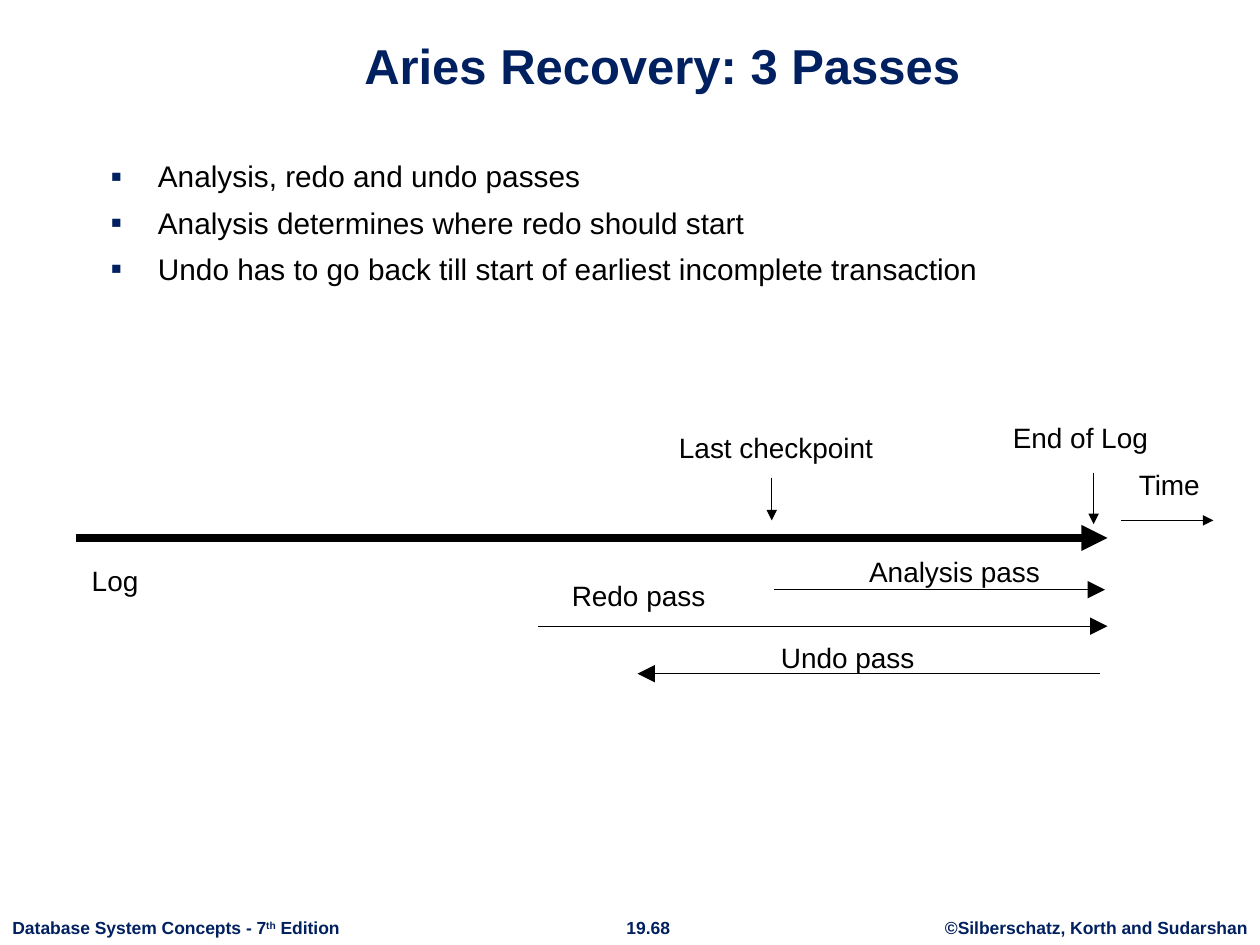
"""Build the slide on the three passes of Aries recovery."""
from lxml.etree import SubElement
from pptx import Presentation
from pptx.dml.color import RGBColor
from pptx.enum.shapes import MSO_CONNECTOR
from pptx.enum.text import MSO_ANCHOR, MSO_AUTO_SIZE, PP_ALIGN
from pptx.oxml.ns import qn
from pptx.util import Pt

NAVY = RGBColor(0x00, 0x20, 0x60)
BLACK = RGBColor(0x00, 0x00, 0x00)
FONT = "Arial"

TITLE = "Aries Recovery: 3 Passes"
BULLETS = [
    "Analysis, redo and undo passes",
    "Analysis determines where redo should start",
    "Undo has to go back till start of earliest incomplete transaction",
]
FOOTER_TOP, FOOTER_HEIGHT = 520.56, 19.44
FOOTERS = [
    (0, 202.32, PP_ALIGN.LEFT, [("Database System Concepts - 7", False), ("th", True), (" Edition", False)]),
    (349.92, 41.04, PP_ALIGN.CENTER, [("19.68", False)]),
    (532.8, 187.2, PP_ALIGN.CENTER, [("©Silberschatz, Korth and Sudarshan", False)]),
]
LABEL_HEIGHT = 26.64
LABELS = [
    ("Last checkpoint", 380.88, 242.64, 126),
    ("Log", 45.36, 318.24, 42),
    ("Time", 643.68, 263.52, 50),
    ("End of Log", 571.68, 236.88, 93),
    ("Analysis pass", 489.6, 313.2, 114),
    ("Redo pass", 319.68, 326.88, 92),
    ("Undo pass", 439.2, 362.5, 92),
]
THIN, THICK = 0.75, 5
ARROWS = [
    ((43.2, 307.44), (632.88, 307.44), THICK, "med"),
    ((640.8, 297.36), (693.36, 297.36), THIN, "med"),
    ((441, 272.88), (441, 297.36), THIN, "med"),
    ((624.96, 270), (624.96, 299.52), THIN, "med"),
    ((442.08, 336.96), (631.44, 336.96), THIN, "lg"),
    ((307.44, 357.84), (632.88, 357.84), THIN, "lg"),
    ((628.56, 385), (364.32, 385), THIN, "lg"),
]


def style(paragraph, size, color=BLACK, bold=False, alignment=PP_ALIGN.LEFT):
    font = paragraph.font
    font.name, font.size, font.bold = FONT, Pt(size), bold
    font.color.rgb = color
    paragraph.alignment = alignment


def add_text_frame(slide, left, top, width, height, wrap=False):
    box = slide.shapes.add_textbox(Pt(left), Pt(top), Pt(width), Pt(height))
    frame = box.text_frame
    frame.word_wrap = wrap
    frame.auto_size = MSO_AUTO_SIZE.NONE if wrap else MSO_AUTO_SIZE.SHAPE_TO_FIT_TEXT
    return frame


def add_bullet(paragraph):
    properties = paragraph._p.get_or_add_pPr()
    properties.set("marL", str(Pt(27)))
    properties.set("indent", str(Pt(-27)))
    color = SubElement(properties, qn("a:buClr"))
    SubElement(color, qn("a:srgbClr"), val=str(NAVY))
    SubElement(properties, qn("a:buSzPct"), val="110000")
    SubElement(properties, qn("a:buFont"), typeface=FONT)
    SubElement(properties, qn("a:buChar"), char="▪")


def add_title(slide):
    frame = add_text_frame(slide, 60.48, 9, 635.76, 48.24, wrap=True)
    frame.vertical_anchor = MSO_ANCHOR.BOTTOM
    frame.text = TITLE
    style(frame.paragraphs[0], 28, NAVY, True, PP_ALIGN.CENTER)


def add_body(slide):
    frame = add_text_frame(slide, 56.16, 86.8, 607.68, 422.64, wrap=True)
    frame.text = "\n".join(BULLETS)
    for paragraph in frame.paragraphs:
        paragraph.space_before = Pt(6)
        add_bullet(paragraph)
        style(paragraph, 17)


def add_footer(slide, left, width, alignment, runs):
    frame = add_text_frame(slide, left, FOOTER_TOP, width, FOOTER_HEIGHT)
    paragraph = frame.paragraphs[0]
    style(paragraph, 10, NAVY, True, alignment)
    for text, raised in runs:
        run = paragraph.add_run()
        run.text = text
        if raised:
            run._r.get_or_add_rPr().set("baseline", "30000")


def add_label(slide, text, left, top, width):
    frame = add_text_frame(slide, left, top, width, LABEL_HEIGHT)
    frame.text = text
    style(frame.paragraphs[0], 16)


def add_arrow(slide, start, end, width, head):
    points = [Pt(value) for value in start + end]
    arrow = slide.shapes.add_connector(MSO_CONNECTOR.STRAIGHT, *points)
    arrow.line.color.rgb = BLACK
    arrow.line.width = Pt(width)
    line = arrow.line._get_or_add_ln()
    SubElement(line, qn("a:tailEnd"), type="triangle", w=head, len=head)
    SubElement(arrow._element.spPr, qn("a:effectLst"))


def main():
    presentation = Presentation()
    presentation.slide_width, presentation.slide_height = Pt(720), Pt(540)
    slide = presentation.slides.add_slide(presentation.slide_layouts[6])
    for footer in FOOTERS:
        add_footer(slide, *footer)
    add_title(slide)
    add_body(slide)
    for arrow in ARROWS:
        add_arrow(slide, *arrow)
    for label in LABELS:
        add_label(slide, *label)
    presentation.save("out.pptx")


if __name__ == "__main__":
    main()
